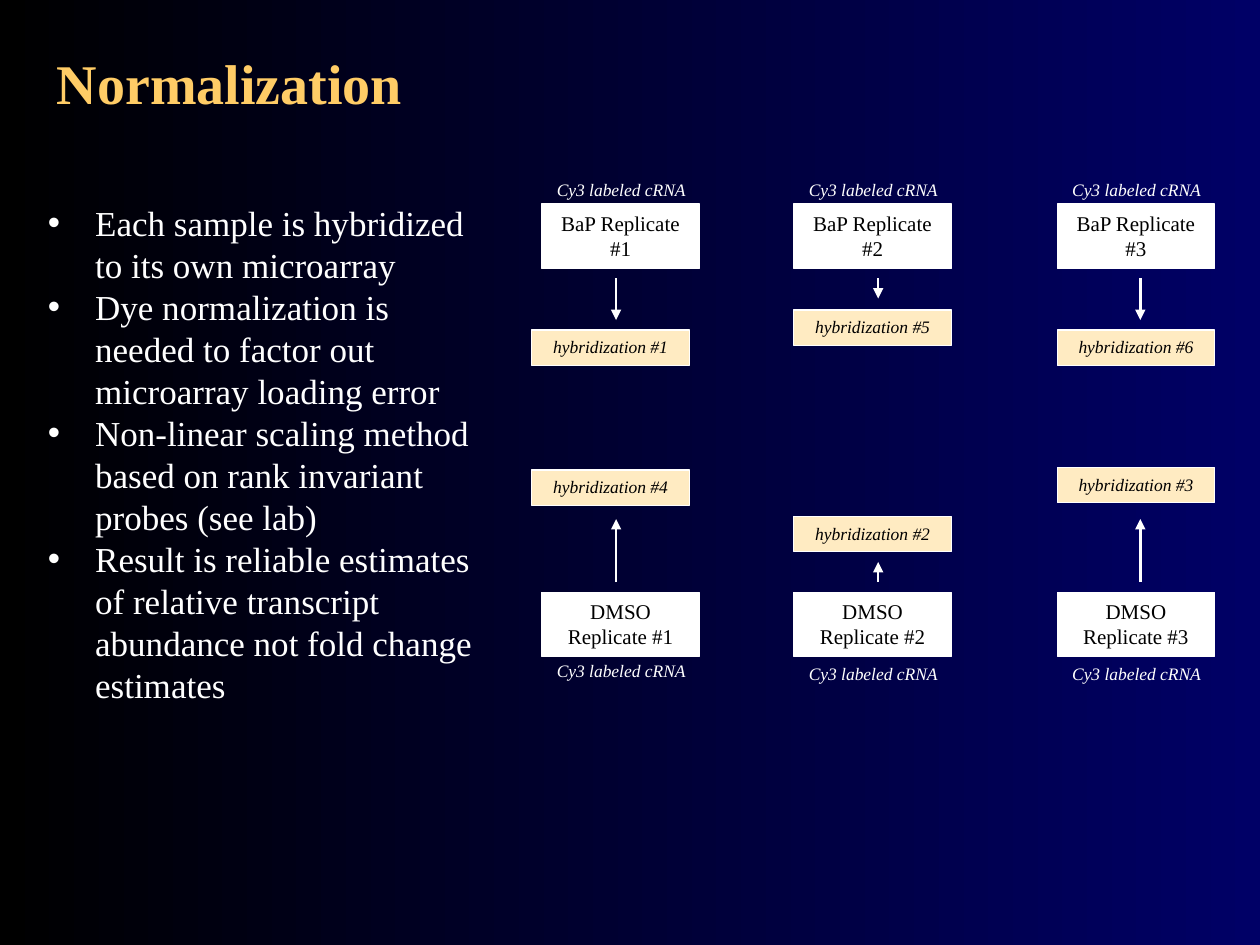
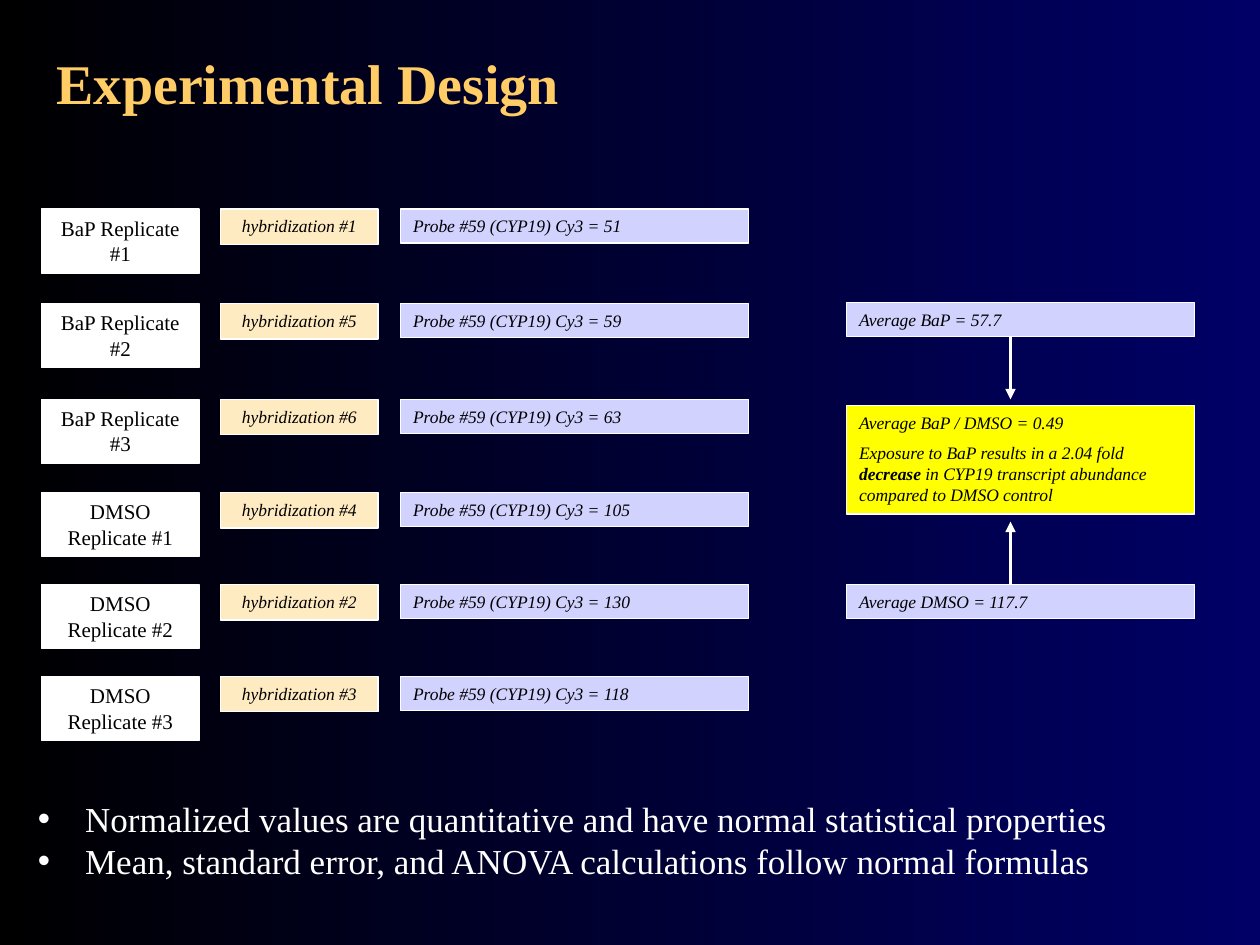
from dataclasses import dataclass

from lxml.etree import SubElement
from pptx import Presentation
from pptx.dml.color import RGBColor
from pptx.enum.shapes import MSO_CONNECTOR, MSO_SHAPE
from pptx.enum.text import MSO_ANCHOR, MSO_AUTO_SIZE, PP_ALIGN
from pptx.oxml.ns import qn
from pptx.util import Inches, Pt


@dataclass(frozen=True)
class Theme:
    font: str = "Times New Roman"
    night: RGBColor = RGBColor.from_string("000000")
    navy: RGBColor = RGBColor.from_string("000066")
    gold: RGBColor = RGBColor.from_string("FFCC66")
    white: RGBColor = RGBColor.from_string("FFFFFF")
    black: RGBColor = RGBColor.from_string("000000")
    cream: RGBColor = RGBColor.from_string("FFEBC2")
    lilac: RGBColor = RGBColor.from_string("D2D2FF")
    yellow: RGBColor = RGBColor.from_string("FFFF00")
    title_size: int = 32
    list_size: int = 20
    sample_size: int = 12
    note_size: int = 10
    outline: float = 0.75
    arrow: float = 1.5


theme = Theme()


def add_text(slide, text, left, top, width, height, *, holder=None, fill=None,
             size=theme.note_size, color=theme.black, bold=False, italic=False,
             align=PP_ALIGN.LEFT, anchor=MSO_ANCHOR.TOP, gap=0):
    """Fill a placeholder, a filled box or a plain text box; **word** is bold."""
    area = [Inches(length) for length in (left, top, width, height)]
    if holder is not None:
        target = holder
        target.left, target.top, target.width, target.height = area
    elif fill is not None:
        target = slide.shapes.add_shape(MSO_SHAPE.RECTANGLE, *area)
        target.shadow.inherit = False
        target.fill.solid()
        target.fill.fore_color.rgb = fill
        target.line.color.rgb = theme.white
        target.line.width = Pt(theme.outline)
    else:
        target = slide.shapes.add_textbox(*area)
    frame = target.text_frame
    frame.word_wrap = True
    frame.auto_size = MSO_AUTO_SIZE.NONE if holder is not None else MSO_AUTO_SIZE.SHAPE_TO_FIT_TEXT
    frame.vertical_anchor = anchor
    for number, line in enumerate(text.split("\n")):
        paragraph = frame.add_paragraph() if number else frame.paragraphs[0]
        paragraph.alignment = align
        paragraph.space_before = Pt(gap if number else 0)
        for part, words in enumerate(line.split("**")):
            run = paragraph.add_run()
            run.text = words
            run.font.name = theme.font
            run.font.size = Pt(size)
            run.font.color.rgb = color
            run.font.bold = bold or part % 2 == 1
            run.font.italic = italic


def add_arrow(slide, x, start, end):
    """Draw a vertical arrow that points at the end height."""
    arrow = slide.shapes.add_connector(
        MSO_CONNECTOR.STRAIGHT, Inches(x), Inches(start), Inches(x), Inches(end))
    arrow.line.color.rgb = theme.white
    arrow.line.width = Pt(theme.arrow)
    SubElement(arrow.line._get_or_add_ln(), qn("a:tailEnd"), type="triangle")
    SubElement(arrow._element.spPr, qn("a:effectLst"))


# Shared formats
sample_style = dict(fill=theme.white, size=theme.sample_size, align=PP_ALIGN.CENTER)
hybridization_style = dict(fill=theme.cream, italic=True, align=PP_ALIGN.CENTER)
value_style = dict(fill=theme.lilac, italic=True)
dye_style = dict(color=theme.white, italic=True, align=PP_ALIGN.CENTER)
sample_width, sample_height = 1.25, 0.51
hybridization_height = 0.28
value_width, value_height = 2.76, 0.27

# Deck and background
deck = Presentation()
deck.slide_width, deck.slide_height = Inches(10), Inches(7.5)
background = deck.slide_master.background.fill
background.gradient()
background.gradient_angle = 0
for stop, shade in zip(background.gradient_stops, (theme.night, theme.navy)):
    stop.color.rgb = shade

# Titles and bullet lists
pages = [
    ("Normalization", (0.28, 1.55, 3.62, 4.14), [
        "Each sample is hybridized to its own microarray",
        "Dye normalization is needed to factor out microarray loading error",
        "Non-linear scaling method based on rank invariant probes (see lab)",
        "Result is reliable estimates of relative transcript abundance not fold change estimates",
    ]),
    ("Experimental Design", (0.2, 6.28, 9.06, 0.77), [
        "Normalized values are quantitative and have normal statistical properties",
        "Mean, standard error, and ANOVA calculations follow normal formulas",
    ]),
]
for title, list_area, points in pages:
    slide = deck.slides.add_slide(deck.slide_layouts[1])
    add_text(slide, title, 0.35, -0.19, 9.37, 1.68, holder=slide.shapes.title,
             size=theme.title_size, color=theme.gold, bold=True, anchor=MSO_ANCHOR.MIDDLE)
    add_text(slide, "\n".join(points), *list_area, holder=slide.placeholders[1],
             size=theme.list_size, color=theme.white)
normalization, design = deck.slides

# Normalization: one column per replicate, BaP from above and DMSO from below
# sample left, hybridization left, arrow x, BaP (number, top, arrow end),
# DMSO (number, top, arrow end), lower dye label top
columns = [
    (4.3, 4.22, 4.89, (1, 2.62, 2.54), (4, 3.73, 4.12), 5.19),
    (6.3, 6.3, 6.97, (5, 2.46, 2.37), (2, 4.1, 4.46), 5.21),
    (8.39, 8.39, 9.05, (6, 2.62, 2.54), (3, 3.71, 4.12), 5.21),
]
for replicate, (left, hybridization_left, arrow_x, bap, dmso, lower_dye_top) in enumerate(columns, 1):
    treatments = [("BaP", 1.62, 1.37, 2.21, bap),
                  ("DMSO", 4.7, lower_dye_top, 4.62, dmso)]
    for treatment, sample_top, dye_top, arrow_start, (number, top, arrow_end) in treatments:
        add_text(normalization, f"{treatment} Replicate #{replicate}", left, sample_top,
                 sample_width, sample_height, **sample_style)
        add_text(normalization, "Cy3 labeled cRNA", left - 0.08, dye_top, 1.42, 0.27, **dye_style)
        add_text(normalization, f"hybridization #{number}", hybridization_left, top,
                 sample_width, hybridization_height, **hybridization_style)
        add_arrow(normalization, arrow_x, arrow_start, arrow_end)

# Experimental Design: sample, hybridization and probe value in each row
rows = [
    (1.66, "BaP Replicate #1", 1, 51),
    (2.41, "BaP Replicate #2", 5, 59),
    (3.17, "BaP Replicate #3", 6, 63),
    (3.91, "DMSO Replicate #1", 4, 105),
    (4.64, "DMSO Replicate #2", 2, 130),
    (5.37, "DMSO Replicate #3", 3, 118),
]
for top, sample, number, signal in rows:
    add_text(design, sample, 0.33, top, sample_width, sample_height, **sample_style)
    add_text(design, f"hybridization #{number}", 1.75, top,
             sample_width, hybridization_height, **hybridization_style)
    add_text(design, f"Probe #59 (CYP19) Cy3 = {signal}", 3.18, top,
             value_width, value_height, **value_style)

# Averages leading to the fold change
averages_left = 6.72
for average, top, arrow_start, arrow_end in [("Average BaP = 57.7", 2.4, 2.67, 3.17),
                                             ("Average DMSO = 117.7", 4.64, 4.64, 4.14)]:
    add_text(design, average, averages_left, top, value_width, value_height, **value_style)
    add_arrow(design, 8.02, arrow_start, arrow_end)
add_text(design, "Average BaP / DMSO = 0.49\n"
         "Exposure to BaP results in a 2.04 fold **decrease **in CYP19 transcript "
         "abundance compared to DMSO control",
         averages_left, 3.22, value_width, 0.86, fill=theme.yellow, italic=True, gap=5)

deck.save("out.pptx")
